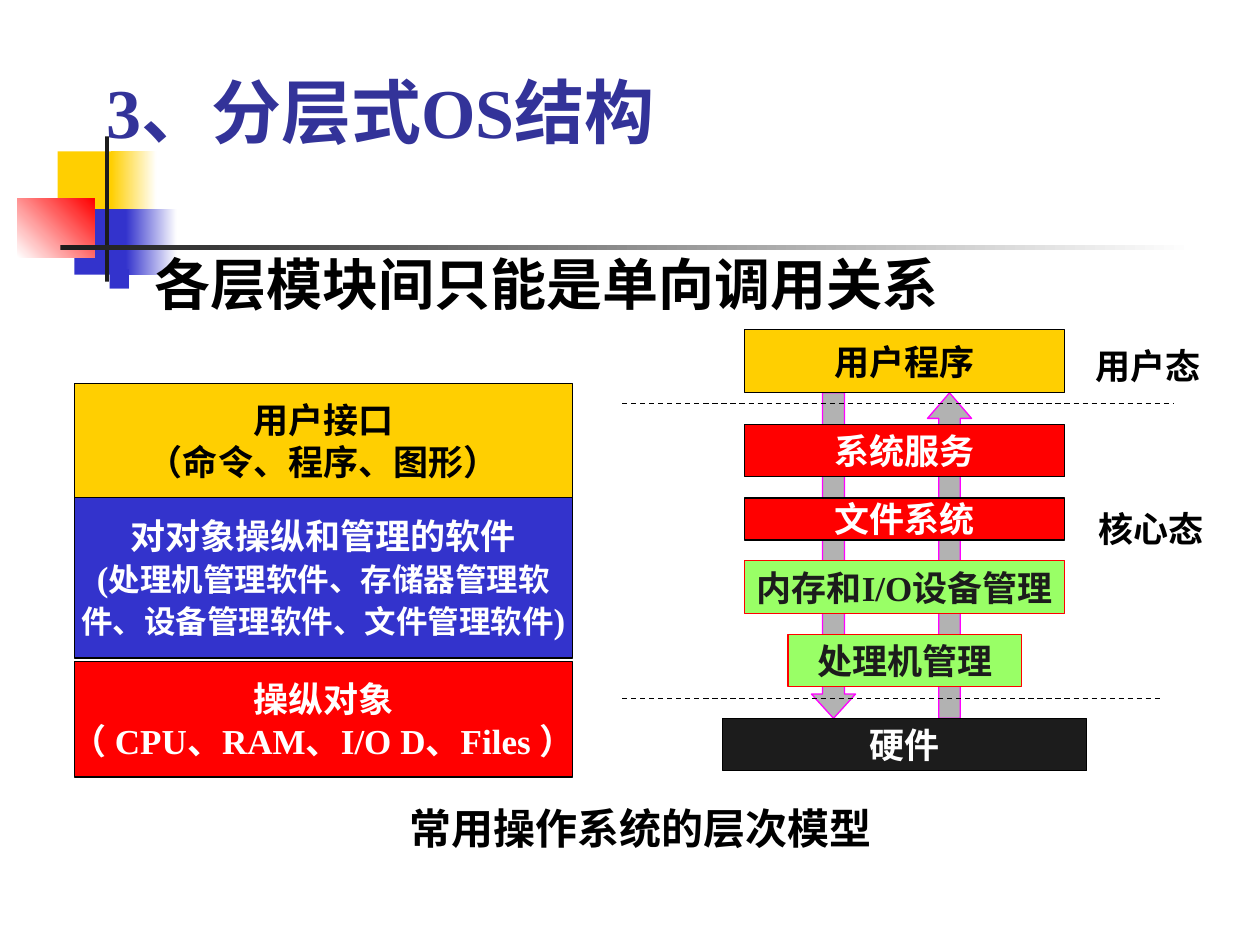
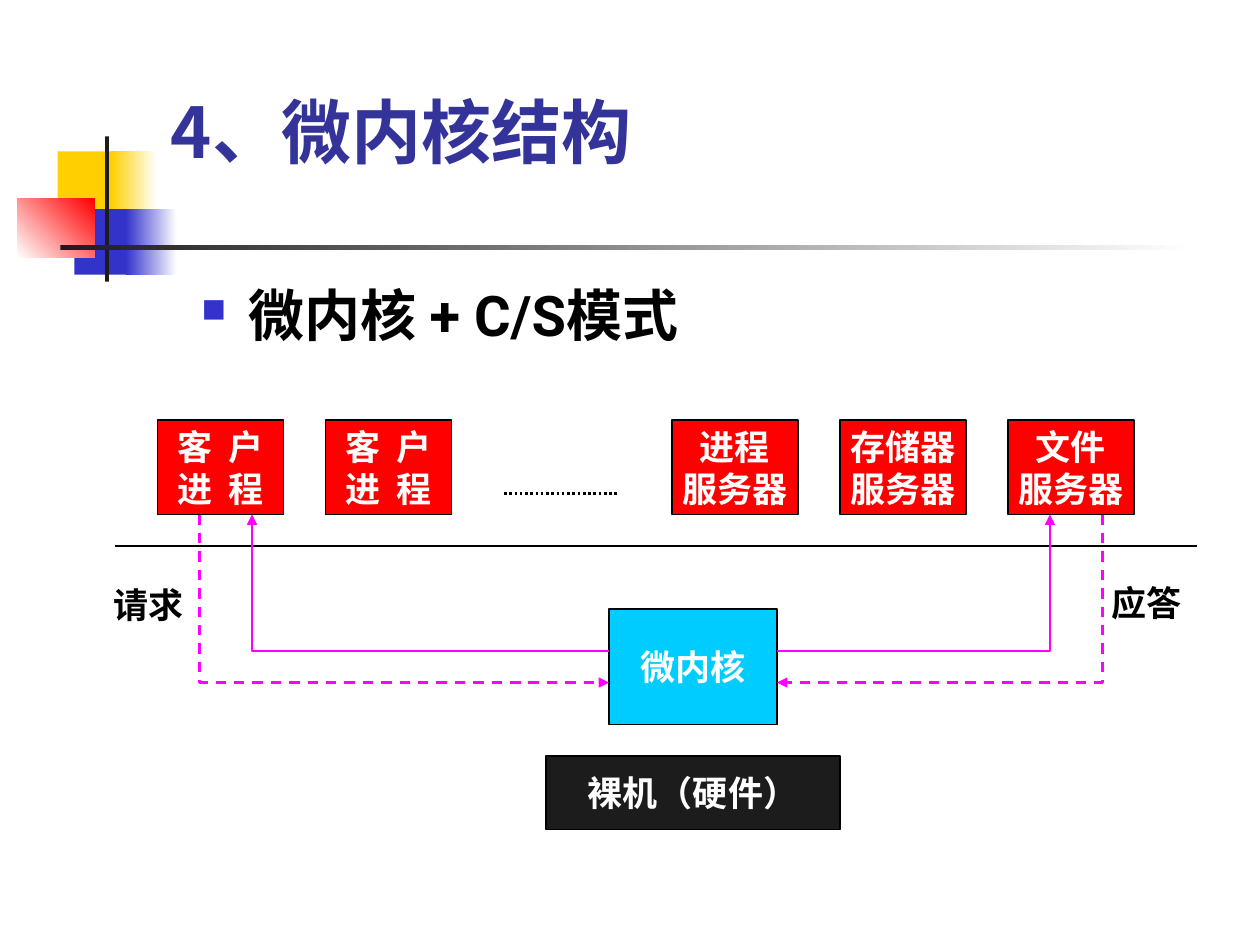
from dataclasses import dataclass

from lxml import etree
from pptx import Presentation
from pptx import util as u
from pptx.dml.color import RGBColor
from pptx.enum import dml, shapes, text
from pptx.oxml.ns import qn


@dataclass(frozen=True)
class Theme:
    yellow: str = "FFCF01"
    blue: str = "3333CC"
    red: str = "FF0000"
    green: str = "99FF66"
    cyan: str = "00CCFF"
    magenta: str = "FF00FF"
    gray: str = "B2B2B2"
    ink: str = "1C1C1C"
    black: str = "000000"
    white: str = "FFFFFF"
    title: str = "333399"
    serif: str = "Times New Roman"
    sans: str = "Roboto"
    chinese: str = "Noto Sans CJK SC"
    title_size: int = 40
    body_size: int = 32
    caption_size: int = 24
    label_size: int = 20
    detail_size: int = 18
    thin: float = 0.75
    thick: float = 1.5


THEME = Theme()
RECTANGLE = shapes.MSO_SHAPE.RECTANGLE
CENTER = text.PP_ALIGN.CENTER
LEFT = text.PP_ALIGN.LEFT


def points(*lengths):
    return [u.Pt(length) for length in lengths]


def rgb(color):
    return RGBColor.from_string(color)


def write_text(shape, lines, *, size=THEME.label_size, color=THEME.black,
               font=THEME.serif, align=CENTER, anchor=text.MSO_ANCHOR.MIDDLE,
               wrap=False, tracking=0, bullet=False):
    """Fill a shape; a line is a string or a list of (text, size, font) runs."""
    frame = shape.text_frame
    frame.word_wrap = wrap
    frame.vertical_anchor = anchor
    for index, line in enumerate(lines):
        paragraph = frame.add_paragraph() if index else frame.paragraphs[0]
        paragraph.alignment = align
        if bullet:
            add_bullet(paragraph)
        runs = [(line, size, font)] if isinstance(line, str) else line
        for words, run_size, run_font in runs:
            run = paragraph.add_run()
            run.text = words
            run.font.size = u.Pt(run_size)
            run.font.bold = True
            run.font.name = run_font
            run.font.color.rgb = rgb(color)
            properties = run.font._element
            etree.SubElement(properties, qn("a:ea"), typeface=THEME.chinese)
            if tracking:
                properties.set("spc", str(int(tracking * 100)))


def add_bullet(paragraph, indent=27):
    properties = paragraph._p.get_or_add_pPr()
    properties.set("marL", str(u.Pt(indent)))
    properties.set("indent", str(-u.Pt(indent)))
    color = etree.SubElement(properties, qn("a:buClr"))
    etree.SubElement(color, qn("a:srgbClr"), val=THEME.blue)
    etree.SubElement(properties, qn("a:buSzPct"), val="60000")
    etree.SubElement(properties, qn("a:buChar"), char="■")


def set_line(line, color, width, dash=None):
    line.color.rgb = rgb(color)
    line.width = u.Pt(width)
    if dash is not None:
        line.dash_style = dash


def add_figure(slide, box, fill, *, kind=RECTANGLE, outline=THEME.black):
    shape = slide.shapes.add_shape(kind, *points(*box))
    shape.shadow.inherit = False
    shape.fill.solid()
    shape.fill.fore_color.rgb = rgb(fill)
    if outline:
        set_line(shape.line, outline, THEME.thin)
    else:
        shape.line.fill.background()
    return shape


def add_fade(slide, box, start, end, angle=0):
    shape = add_figure(slide, box, start, outline=None)
    shape.fill.gradient()
    shape.fill.gradient_angle = angle
    for stop, color, position in zip(shape.fill.gradient_stops, (start, end), (0, 1)):
        stop.color.rgb = rgb(color)
        stop.position = position


def add_block(slide, box, fill, lines, *, color=THEME.white, outline=THEME.black,
              tracking=0):
    shape = add_figure(slide, box, fill, outline=outline)
    write_text(shape, lines, color=color, tracking=tracking)


def add_text(slide, box, lines, **text_format):
    write_text(slide.shapes.add_textbox(*points(*box)), lines, **text_format)


def add_rule(slide, left, right, y, *, width=THEME.thin, dash=None):
    connector = slide.shapes.add_connector(
        shapes.MSO_CONNECTOR.STRAIGHT, *points(left, y, right, y))
    set_line(connector.line, THEME.black, width, dash)
    etree.SubElement(connector._element.spPr, qn("a:effectLst"))


def add_bent_arrow(slide, start, *corners, dash=None):
    builder = slide.shapes.build_freeform(*start, scale=u.Pt(1))
    builder.add_line_segments(corners, close=False)
    arrow = builder.convert_to_shape()
    arrow.shadow.inherit = False
    arrow.fill.background()
    set_line(arrow.line, THEME.magenta, THEME.thick, dash)
    line = arrow._element.spPr.find(qn("a:ln"))
    etree.SubElement(line, qn("a:tailEnd"), type="triangle")


def add_ornament(slide):
    """Draw the coloured squares and crossing bars beside the title."""
    add_figure(slide, (33, 86.5, 34.5, 37.5), THEME.yellow, outline=None)
    add_fade(slide, (63.5, 86.5, 26, 37.5), THEME.yellow, THEME.white)
    add_figure(slide, (42.5, 119.5, 33, 37.5), THEME.blue, outline=None)
    add_fade(slide, (72, 119.5, 29, 37.5), THEME.blue, THEME.white)
    add_fade(slide, (10, 113.5, 44, 33.5), THEME.white, THEME.red, angle=45)
    add_figure(slide, (60, 78, 2.3, 83), THEME.ink, outline=None)
    add_fade(slide, (34.5, 140.2, 648, 2.5), THEME.ink, THEME.white)


def start_slide(presentation):
    slide = presentation.slides.add_slide(presentation.slide_layouts[6])
    add_ornament(slide)
    return slide


def add_heading(slide, title_box, title, body_box, statement):
    add_text(slide, title_box, [title], size=THEME.title_size, color=THEME.title,
             font=THEME.chinese, align=LEFT, anchor=text.MSO_ANCHOR.BOTTOM, wrap=True)
    add_text(slide, body_box, [statement], size=THEME.body_size, font=THEME.sans,
             align=LEFT, anchor=text.MSO_ANCHOR.TOP, wrap=True, bullet=True)


def add_object_stack(slide):
    small, normal = THEME.detail_size, THEME.label_size
    software = [
        "对对象操纵和管理的软件",
        [("(", normal, THEME.serif),
         ("处理机管理软件、存储器管理软", small, THEME.serif)],
        [("件、设备管理软件、文件管理软件", small, THEME.serif),
         (")", normal, THEME.serif)],
    ]
    parts = [
        (219, 66, THEME.yellow, THEME.black, ["用户接口", "（命令、程序、图形）"]),
        (284.5, 91.5, THEME.blue, THEME.white, software),
        (378, 66, THEME.red, THEME.white, ["操纵对象", "（ CPU、RAM、I/O D、Files ）"]),
    ]
    for top, height, fill, color, lines in parts:
        add_block(slide, (42.5, top, 284.5, height), fill, lines, color=color)


def add_call_arrows(slide, top, height):
    for left, kind, adjustments in (
            (530, shapes.MSO_SHAPE.UP_ARROW, (0.49, 0.58)),
            (463.7, shapes.MSO_SHAPE.DOWN_ARROW, (0.5, 0.55))):
        arrow = add_figure(slide, (left, top, 25.2, height), THEME.gray,
                           kind=kind, outline=THEME.magenta)
        for index, value in enumerate(adjustments):
            arrow.adjustments[index] = value


def add_layers(slide):
    center, top = 517, 188.5
    layers = [  # name, width, height, gap below, fill, text colour, outline
        ("用户程序", 183, 36, 18, THEME.yellow, THEME.black, THEME.black),
        ("系统服务", 183, 30, 12, THEME.red, THEME.white, THEME.black),
        ("文件系统", 183, 24, 12, THEME.red, THEME.white, THEME.black),
        ("内存和I/O设备管理", 183, 30, 12, THEME.green, THEME.ink, THEME.red),
        ("处理机管理", 133.5, 30, 18, THEME.green, THEME.ink, THEME.red),
        ("硬件", 208, 30, 0, THEME.ink, THEME.white, THEME.black),
    ]
    for name, width, height, gap, fill, color, outline in layers:
        add_block(slide, (center - width / 2, top, width, height), fill, [name],
                  color=color, outline=outline)
        top += height + gap
    for right, y in ((671, 230.5), (664.5, 399)):
        add_rule(slide, 355.5, right, y, dash=dml.MSO_LINE.DASH)
    add_text(slide, (619, 193.5, 75, 31), ["用户态"], align=LEFT)
    add_text(slide, (620.5, 286.5, 75, 31), ["核心态"], align=LEFT)


def add_layered_slide(presentation):
    slide = start_slide(presentation)
    add_call_arrows(slide, 224.5, 186)
    title = [("3、分层式OS", THEME.title_size, THEME.serif),
             ("结构", THEME.title_size, THEME.sans)]
    add_heading(slide, (54, 35.5, 612, 55.5), title,
                (54, 139, 612, 324), "各层模块间只能是单向调用关系")
    add_object_stack(slide)
    add_layers(slide)
    add_text(slide, (224, 455, 283.5, 36), ["常用操作系统的层次模型"],
             size=THEME.caption_size, wrap=True)


def add_processes(slide, top):
    pitch, width, height = 96, 72, 54
    for column in range(2):
        add_block(slide, (90 + column * pitch, top, width, height), THEME.red,
                  ["客 户", "进 程"], tracking=2.5)
    for column, server in enumerate(("进程", "存储器", "文件")):
        add_block(slide, (384 + column * pitch, top, width, height), THEME.red,
                  [server, "服务器"])
    add_rule(slide, 288, 354, 282, width=THEME.thick, dash=dml.MSO_LINE.ROUND_DOT)


def add_messages(slide, process_bottom, kernel_left, kernel_right):
    request_y, reply_y = 390, 372
    for kernel_x, sender_x, receiver_x in ((kernel_left, 114, 144),
                                           (kernel_right, 630, 600)):
        add_bent_arrow(slide, (sender_x, process_bottom), (sender_x, request_y),
                       (kernel_x, request_y), dash=dml.MSO_LINE.DASH)
        add_bent_arrow(slide, (kernel_x, reply_y), (receiver_x, reply_y),
                       (receiver_x, process_bottom))
    add_text(slide, (57.5, 330, 55, 31), ["请求"])
    add_text(slide, (628, 328.5, 55, 31), ["应答"])


def add_microkernel_slide(presentation):
    slide = start_slide(presentation)
    add_heading(slide, (90.5, 46, 613.5, 56), "4、微内核结构",
                (108, 157, 612, 324), "微内核 + C/S模式")
    add_block(slide, (312, 432, 168, 42), THEME.ink, ["裸机（硬件）"])
    add_block(slide, (348, 348, 96, 66), THEME.cyan, ["微内核"])
    add_processes(slide, 240)
    add_rule(slide, 66, 684, 312)
    add_messages(slide, 294, 348, 444)


def main():
    presentation = Presentation()
    presentation.slide_width, presentation.slide_height = points(720, 540)
    add_layered_slide(presentation)
    add_microkernel_slide(presentation)
    presentation.save("out.pptx")


if __name__ == "__main__":
    main()
